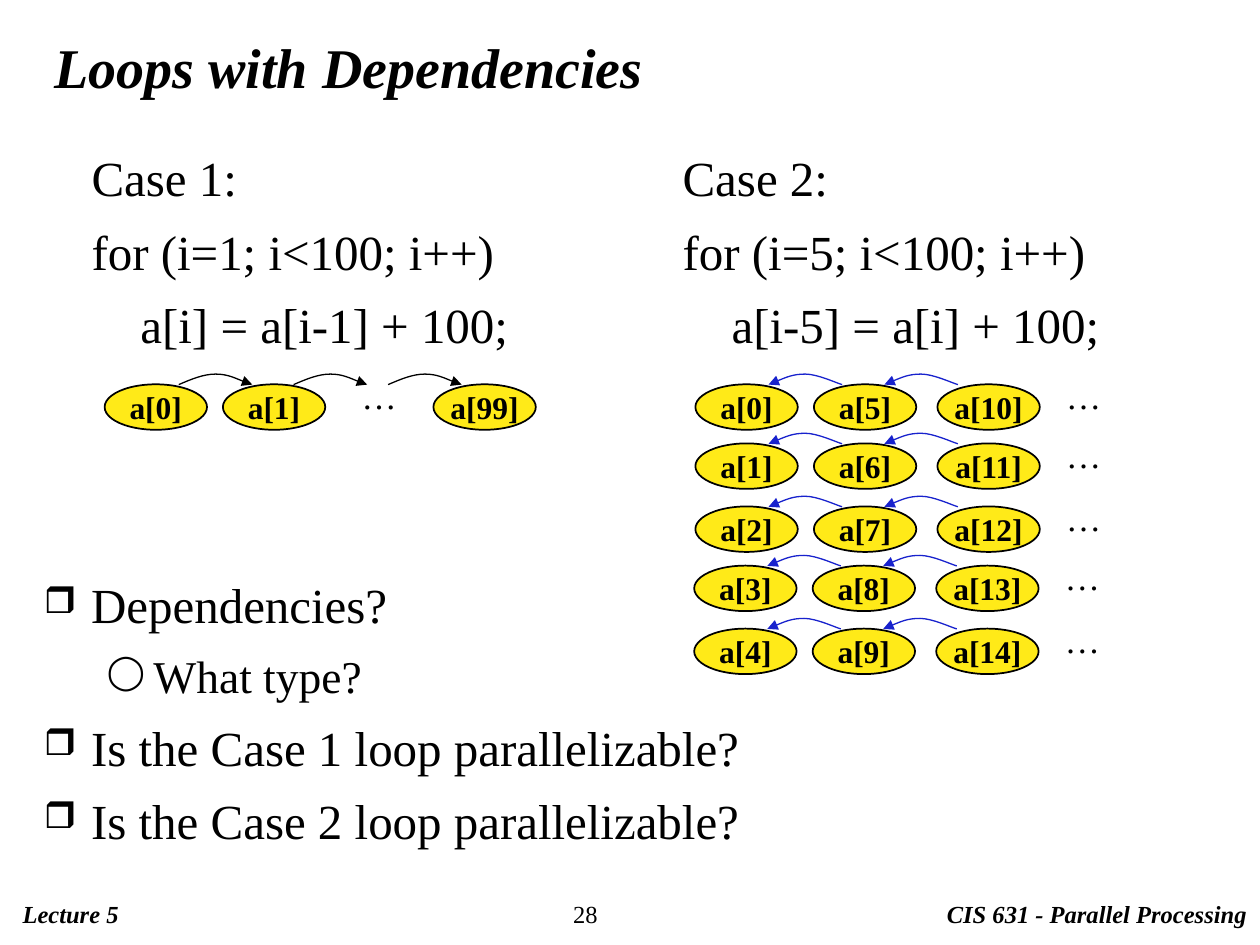
"""Build the slide on loops with dependencies, with two cases and their element chains."""
from dataclasses import dataclass

from lxml import etree
from pptx import Presentation
from pptx.dml.color import RGBColor
from pptx.enum import shapes, text
from pptx.oxml.ns import qn
from pptx.util import Pt

FONT = "Times New Roman"
BLACK, YELLOW, BLUE = "000000", "FFEA18", "1822CD"
NODE_WIDTH, NODE_HEIGHT = 58.5, 26
ARC = [(0, 6), (7, 3), (14, 0), (21, 0), (28, 0), (38.5, 5), (42, 6)]
PARAGRAPH_GAP = 8.25


@dataclass
class Line:
    text: str
    size: float = 28
    bullet: str = ""
    margin: float = 0
    hang: float = 0
    bold: bool = False
    italic: bool = False
    align: text.PP_ALIGN = text.PP_ALIGN.LEFT


@dataclass
class Chain:
    top: float
    nodes: list[tuple[float, str]]
    dots_left: float
    arcs: list[float]
    color: str
    arrow_end: str


def rgb(color: str) -> RGBColor:
    return RGBColor.from_string(color)


def add_bullet(paragraph, line: Line) -> None:
    properties = paragraph._p.get_or_add_pPr()
    properties.set("marL", str(Pt(line.margin)))
    properties.set("indent", str(Pt(-line.hang)))
    color = etree.SubElement(properties, qn("a:buClr"))
    etree.SubElement(color, qn("a:srgbClr"), val=BLACK)
    etree.SubElement(properties, qn("a:buSzPct"), val="75000")
    etree.SubElement(properties, qn("a:buChar"), char=line.bullet)


def write(frame, lines: list[Line], wrap: bool = True) -> None:
    frame.word_wrap = wrap
    frame.auto_size = text.MSO_AUTO_SIZE.NONE
    for index, line in enumerate(lines):
        paragraph = frame.add_paragraph() if index else frame.paragraphs[0]
        paragraph.text = line.text
        paragraph.alignment = line.align
        if index:
            paragraph.space_before = Pt(PARAGRAPH_GAP)
        if line.bullet:
            add_bullet(paragraph, line)
        font = paragraph.font
        font.name, font.size = FONT, Pt(line.size)
        font.bold, font.italic = line.bold, line.italic
        font.color.rgb = rgb(BLACK)


def add_text(slide, left: float, top: float, width: float, height: float,
             lines: list[Line], wrap: bool = True) -> None:
    box = slide.shapes.add_textbox(Pt(left), Pt(top), Pt(width), Pt(height))
    write(box.text_frame, lines, wrap)


def add_node(slide, left: float, top: float, label: str) -> None:
    node = slide.shapes.add_shape(shapes.MSO_SHAPE.OVAL, Pt(left), Pt(top),
                                  Pt(NODE_WIDTH), Pt(NODE_HEIGHT))
    node.shadow.inherit = False
    node.fill.solid()
    node.fill.fore_color.rgb = rgb(YELLOW)
    node.line.color.rgb = rgb(BLACK)
    node.line.width = Pt(1)
    node.text_frame.vertical_anchor = text.MSO_ANCHOR.MIDDLE
    write(node.text_frame, [Line(label, 18, bold=True, align=text.PP_ALIGN.CENTER)], False)


def add_arc(slide, left: float, top: float, color: str, arrow_end: str) -> None:
    points = [(Pt(left + x), Pt(top + y)) for x, y in ARC]
    builder = slide.shapes.build_freeform(*points[0])
    builder.add_line_segments(points[1:], close=False)
    arc = builder.convert_to_shape()
    arc.shadow.inherit = False
    arc.fill.background()
    arc.line.color.rgb = rgb(color)
    arc.line.width = Pt(0.75)
    outline = arc._element.spPr.find(qn("a:ln"))
    etree.SubElement(outline, qn(f"a:{arrow_end}"), type="triangle")
    segments = list(arc._element.iter(qn("a:lnTo")))
    path = segments[0].getparent()
    for start in range(0, len(segments), 3):
        curve = etree.SubElement(path, qn("a:cubicBezTo"))
        for segment in segments[start:start + 3]:
            curve.append(segment[0])
            path.remove(segment)


def add_chain(slide, chain: Chain) -> None:
    for left, label in chain.nodes:
        add_node(slide, left, chain.top, label)
    dots = Line("…", 20, align=text.PP_ALIGN.CENTER)
    add_text(slide, chain.dots_left, chain.top - 9.4, 34.6, 31.7, [dots], False)
    for left in chain.arcs:
        add_arc(slide, left, chain.top - 5.8, chain.color, chain.arrow_end)


def case_two_chain(row: int) -> Chain:
    shift = -0.7 if row >= 3 else 0
    top = 219.6 + 69.8 * (row // 2) + 33.8 * (row % 2)
    nodes = [(left + shift, f"a[{row + 5 * column}]")
             for column, left in enumerate((397.4, 465.1, 535.7))]
    return Chain(top, nodes, 601.9 + shift, [439.2 + shift, 505.4 + shift], BLUE, "headEnd")


def main() -> None:
    deck = Presentation()
    deck.slide_width, deck.slide_height = Pt(720), Pt(540)
    slide = deck.slides.add_slide(deck.slide_layouts[5])

    title = slide.shapes.title
    title.left, title.top, title.width, title.height = Pt(24), Pt(20), Pt(678), Pt(36)
    title.text_frame.vertical_anchor = text.MSO_ANCHOR.MIDDLE
    write(title.text_frame, [Line("Loops with Dependencies", 32, bold=True, italic=True)])

    add_text(slide, 5.8, 510, 300, 24.5, [Line("Lecture 5", 14, bold=True, italic=True)])
    add_text(slide, 320.4, 510, 72.7, 24.5, [Line("28", 14)])
    add_text(slide, 534, 510, 186, 24.5,
             [Line("CIS 631 - Parallel Processing", 14, bold=True, italic=True)], False)

    cases = [
        (45.2, ["Case 1:", "for (i=1; i<100; i++)", "    a[i] = a[i-1] + 100;"]),
        (383, ["Case 2:", "for (i=5; i<100; i++)", "    a[i-5] = a[i] + 100;"]),
    ]
    for left, code in cases:
        add_text(slide, left, 81, 270, 125, [Line(row) for row in code])

    add_text(slide, 18, 325, 690, 175, [
        Line("Dependencies?", 28, "❒", 27, 27),
        Line("What type?", 26, "◯", 62.6, 26.6),
        Line("Is the Case 1 loop parallelizable?", 28, "❒", 27, 27),
        Line("Is the Case 2 loop parallelizable?", 28, "❒", 27, 27),
    ])

    add_chain(slide, Chain(219.6, [(59.8, "a[0]"), (127.4, "a[1]"), (247.7, "a[99]")],
                           199.4, [102.2, 167.8, 221.8], BLACK, "tailEnd"))
    for row in range(5):
        add_chain(slide, case_two_chain(row))

    deck.save("out.pptx")


if __name__ == "__main__":
    main()
